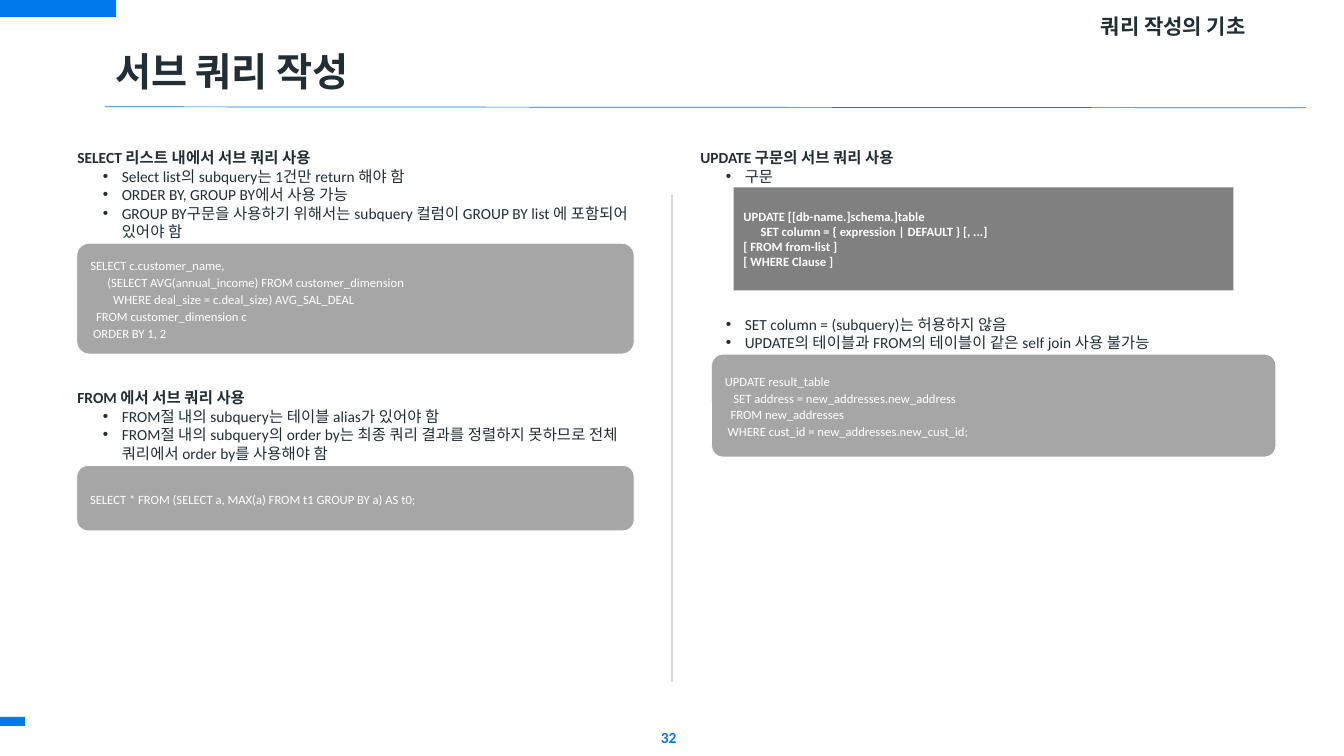
import pptx
import pptx.util
import pptx.dml.color
import pptx.enum.shapes
import pptx.enum.text
import pptx.oxml
import pptx.oxml.ns
from dataclasses import dataclass

Pt = pptx.util.Pt
SHAPE = pptx.enum.shapes.MSO_SHAPE
ALIGN = pptx.enum.text.PP_ALIGN
ANCHOR = pptx.enum.text.MSO_ANCHOR

# Content
TITLE = "서브 쿼리 작성"
CHAPTER = "쿼리 작성의 기초"
PAGE = "32"

# Each column: left edge, then sections of (space before, heading or None, bullets)
COLUMNS = [
    (48.2, [
        (0, "SELECT 리스트 내에서 서브 쿼리 사용", [
            "Select list의 subquery는 1건만 return 해야 함",
            "ORDER BY, GROUP BY에서 사용 가능",
            "GROUP BY구문을 사용하기 위해서는 subquery 컬럼이 GROUP BY list 에 포함되어 있어야 함",
        ]),
        (105.5, "FROM 에서 서브 쿼리 사용", [
            "FROM절 내의 subquery는 테이블 alias가 있어야 함",
            "FROM절 내의 subquery의 order by는 최종 쿼리 결과를 정렬하지 못하므로 전체 쿼리에서 order by를 사용해야 함",
        ]),
    ]),
    (493.2, [
        (0, "UPDATE 구문의 서브 쿼리 사용", ["구문"]),
        (92.5, None, [
            "SET column = (subquery)는 허용하지 않음",
            "UPDATE의 테이블과 FROM의 테이블이 같은 self join 사용 불가능",
        ]),
    ]),
]

# Rounded code examples: box, corner ratio, lines
EXAMPLES = [
    ((54.9, 173.8, 398, 79), 0.11, [
        "SELECT c.customer_name,",
        "      (SELECT AVG(annual_income) FROM customer_dimension",
        "        WHERE deal_size = c.deal_size) AVG_SAL_DEAL",
        "  FROM customer_dimension c",
        " ORDER BY 1, 2",
    ]),
    ((54.9, 332.6, 398, 46.6), 0.17, [
        "SELECT * FROM (SELECT a, MAX(a) FROM t1 GROUP BY a) AS t0;",
    ]),
    ((508.3, 253, 403, 73.4), 0.11, [
        "UPDATE result_table",
        "   SET address = new_addresses.new_address",
        "  FROM new_addresses",
        " WHERE cust_id = new_addresses.new_cust_id;",
    ]),
]
SYNTAX_BOX = (524, 133.8, 357, 73.6)
SYNTAX = [
    "UPDATE [[db-name.]schema.]table",
    "      SET column = { expression | DEFAULT } [, ...]",
    "[ FROM from-list ]",
    "[ WHERE Clause ]",
]


@dataclass(frozen=True)
class Theme:
    font: str = "Calibri"
    ink: str = "212E35"
    accent: str = "0079EF"
    white: str = "FFFFFF"
    divider: str = "D9D9D9"
    example: str = "A6A6A6"
    syntax: str = "808080"
    title_size: float = 28
    chapter_size: float = 15
    body_size: float = 11
    code_size: float = 9


T = Theme()


def rgb(color):
    return pptx.dml.color.RGBColor.from_string(color)


def add_run(p, text, size, color, bold=False):
    r = p.add_run()
    r.text = text
    r.font.size, r.font.bold, r.font.name = Pt(size), bold, T.font
    r.font.color.rgb = rgb(color)
    ea = pptx.oxml.parse_xml(
        f'<a:ea {pptx.oxml.ns.nsdecls("a")} typeface="{T.font}"/>')
    r.font._element.find(pptx.oxml.ns.qn("a:latin")).addnext(ea)


def next_paragraph(tf):
    first = tf.paragraphs[0]
    return tf.add_paragraph() if first.runs else first


def add_text_box(slide, box, anchor=ANCHOR.TOP):
    tf = slide.shapes.add_textbox(*map(Pt, box)).text_frame
    tf.word_wrap, tf.vertical_anchor = True, anchor
    return tf


def add_box(slide, kind, box, fill, line=None):
    sp = slide.shapes.add_shape(kind, *map(Pt, box))
    sp.shadow.inherit = False
    sp.fill.solid()
    sp.fill.fore_color.rgb = rgb(fill)
    if line:
        sp.line.color.rgb, sp.line.width = rgb(line), Pt(0.5)
    else:
        sp.line.fill.background()
    return sp


def add_line(slide, ends, color, width):
    line = slide.shapes.add_connector(
        pptx.enum.shapes.MSO_CONNECTOR.STRAIGHT, *map(Pt, ends))
    line.line.color.rgb, line.line.width = rgb(color), Pt(width)
    line._element.spPr.append(pptx.oxml.parse_xml(
        f'<a:effectLst {pptx.oxml.ns.nsdecls("a")}/>'))


def set_bullet(p):
    pPr = p._p.get_or_add_pPr()
    pPr.set("marL", str(Pt(31.7)))
    pPr.set("indent", str(Pt(-13.5)))
    for tag in ('buFont typeface="Arial"', 'buChar char="•"'):
        name, attr = tag.split(" ")
        pPr.append(pptx.oxml.parse_xml(
            f'<a:{name} {pptx.oxml.ns.nsdecls("a")} {attr}/>'))


def fill_code(sp, lines, bold=False, spacing=None):
    tf = sp.text_frame
    tf.word_wrap, tf.vertical_anchor = True, ANCHOR.MIDDLE
    for text in lines:
        p = next_paragraph(tf)
        p.alignment = ALIGN.LEFT
        if spacing:
            p.line_spacing = Pt(spacing)
        add_run(p, text, T.code_size, T.white, bold)


def fill_column(tf, sections):
    for gap, heading, bullets in sections:
        rows = [(heading, True)] if heading else []
        rows += [(text, False) for text in bullets]
        for i, (text, is_heading) in enumerate(rows):
            p = next_paragraph(tf)
            if not is_heading:
                set_bullet(p)
            if gap and i == 0:
                p.space_before = Pt(gap)
            add_run(p, text, T.body_size, T.ink, is_heading)


def main():
    prs = pptx.Presentation()
    prs.slide_width, prs.slide_height = Pt(960), Pt(540)
    slide = prs.slides.add_slide(prs.slide_layouts[5])

    # Frame: corner bars, title rule, column divider
    for bar in ((0, 0, 83, 12.2), (0, 512, 18, 6.5)):
        add_box(slide, SHAPE.RECTANGLE, bar, T.accent)
    add_line(slide, (75, 76.3, 933, 77), T.accent, 0.5)
    add_line(slide, (480, 139, 480, 487), T.divider, 1.5)

    # Title
    title = slide.shapes.title
    title.left, title.top, title.width, title.height = map(Pt, (75, 34, 812, 85))
    tf = title.text_frame
    tf.auto_size = pptx.enum.text.MSO_AUTO_SIZE.NONE
    tf.vertical_anchor = ANCHOR.TOP
    p = tf.paragraphs[0]
    p.alignment, p.line_spacing = ALIGN.LEFT, 0.9
    add_run(p, TITLE, T.title_size, T.ink, True)

    # Chapter name and page number
    p = add_text_box(slide, (612.7, 7.5, 284, 25), ANCHOR.MIDDLE).paragraphs[0]
    p.alignment, p.line_spacing = ALIGN.RIGHT, 0.9
    add_run(p, CHAPTER, T.chapter_size, T.ink, True)
    p = add_text_box(slide, (465, 512.5, 30, 29), ANCHOR.MIDDLE).paragraphs[0]
    add_run(p, PAGE, T.body_size, T.accent, True)

    # Text columns
    for left, sections in COLUMNS:
        fill_column(add_text_box(slide, (left, 102.3, 418.3, 394.5)), sections)

    # Code boxes
    for box, corner, lines in EXAMPLES:
        sp = add_box(slide, SHAPE.ROUNDED_RECTANGLE, box, T.example, T.white)
        sp.adjustments[0] = corner
        fill_code(sp, lines, spacing=12)
    fill_code(add_box(slide, SHAPE.RECTANGLE, SYNTAX_BOX, T.syntax), SYNTAX, bold=True)

    prs.save("out.pptx")


if __name__ == "__main__":
    main()
